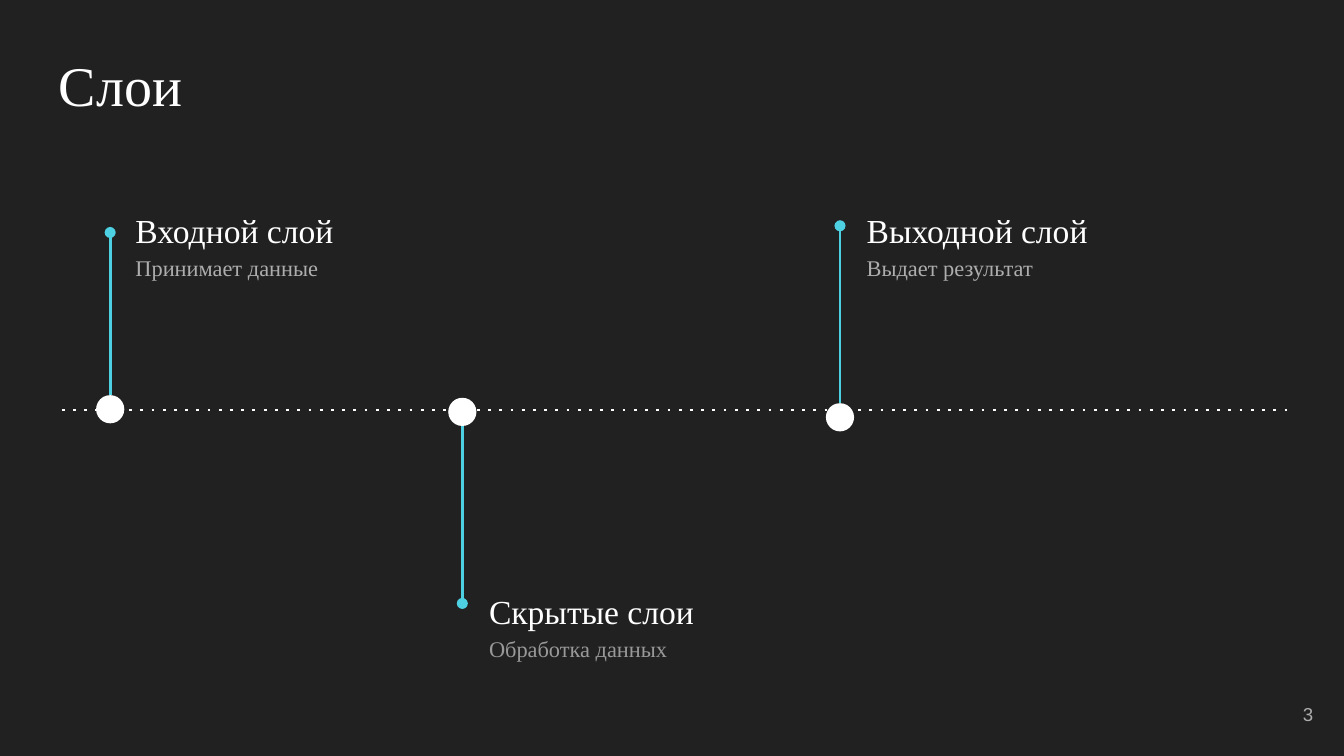
from pptx import Presentation
from pptx.dml.color import RGBColor
from pptx.enum.shapes import MSO_CONNECTOR, MSO_SHAPE
from pptx.enum.text import MSO_ANCHOR, PP_ALIGN
from pptx.oxml.ns import qn
from pptx.util import Inches, Pt
from lxml.etree import SubElement

BACKGROUND = RGBColor(0x21, 0x21, 0x21)
WHITE = RGBColor(0xFF, 0xFF, 0xFF)
CYAN = RGBColor(0x4D, 0xD0, 0xE1)
LIGHT_GRAY = RGBColor(0xAD, 0xAD, 0xAD)
GRAY = RGBColor(0x99, 0x99, 0x99)
SERIF = "Times New Roman"
DOT_SIZE = 0.21

LAYERS = [
    ("Входной слой", "Принимает данные", LIGHT_GRAY,
     0.82, 2.94, 2.94, 1.73, (0.91, 1.42, 3.77, 1.54)),
    ("Скрытые слои", "Обработка данных", GRAY,
     3.44, 2.96, 3.17, 4.49, (3.54, 4.25, 2.91, 1.06)),
    ("Выходной слой", "Выдает результат", LIGHT_GRAY,
     6.25, 3, 3, 1.68, (6.35, 1.42, 2.91, 1.06)),
]


def add_text(paragraph, text, size=18, color=WHITE, font=SERIF,
             align=PP_ALIGN.LEFT, spacing=None):
    paragraph.alignment = align
    paragraph.line_spacing = spacing
    run = paragraph.add_run()
    run.text = text
    run.font.name = font
    run.font.size = Pt(size)
    run.font.color.rgb = color


class TimelineSlide:
    """Draws timeline elements on one dark slide."""

    def __init__(self, presentation):
        self.slide = presentation.slides.add_slide(presentation.slide_layouts[6])
        fill = self.slide.background.fill
        fill.solid()
        fill.fore_color.rgb = BACKGROUND

    def text_box(self, left, top, width, height, anchor=MSO_ANCHOR.TOP):
        box = self.slide.shapes.add_textbox(
            Inches(left), Inches(top), Inches(width), Inches(height))
        frame = box.text_frame
        frame.word_wrap = True
        frame.vertical_anchor = anchor
        frame.margin_left = frame.margin_right = Inches(0.1)
        frame.margin_top = frame.margin_bottom = Inches(0.1)
        return frame

    def line(self, start, end, color, mark, value_name, value):
        connector = self.slide.shapes.add_connector(
            MSO_CONNECTOR.STRAIGHT, *(Inches(length) for length in start + end))
        connector.line.color.rgb = color
        connector.line.width = Pt(1.5)
        properties = connector.line._get_or_add_ln()
        SubElement(properties, qn(mark)).set(value_name, value)
        SubElement(connector._element.spPr, qn("a:effectLst"))

    def dot(self, center, top):
        shape = self.slide.shapes.add_shape(
            MSO_SHAPE.OVAL, Inches(center - DOT_SIZE / 2), Inches(top),
            Inches(DOT_SIZE), Inches(DOT_SIZE))
        shape.shadow.inherit = False
        shape.fill.solid()
        shape.fill.fore_color.rgb = WHITE
        shape.line.fill.background()

    def layer(self, name, detail, detail_color, center, dot_top,
              stem_start, stem_end, text_area):
        self.line((center, stem_start), (center, stem_end), CYAN,
                  "a:tailEnd", "type", "oval")
        self.dot(center, dot_top)
        frame = self.text_box(*text_area)
        add_text(frame.paragraphs[0], name, spacing=1.15)
        add_text(frame.add_paragraph(), detail, size=12,
                 color=detail_color, spacing=1.15)


def main():
    presentation = Presentation()
    presentation.slide_width = Inches(10)
    presentation.slide_height = Inches(10 * 9 / 16)
    timeline = TimelineSlide(presentation)

    title = timeline.text_box(0.34, 0, 9.32, 1.25, MSO_ANCHOR.MIDDLE)
    add_text(title.paragraphs[0], "Слои", size=30)

    timeline.line((0.46, 3.05), (9.58, 3.05), WHITE, "a:prstDash", "val", "dot")
    for layer in LAYERS:
        timeline.layer(*layer)

    number = timeline.text_box(9.27, 5.1, 0.6, 0.43, MSO_ANCHOR.MIDDLE)
    add_text(number.paragraphs[0], "3", size=10, color=LIGHT_GRAY,
             font="Arial", align=PP_ALIGN.RIGHT)

    presentation.save("out.pptx")


if __name__ == "__main__":
    main()
